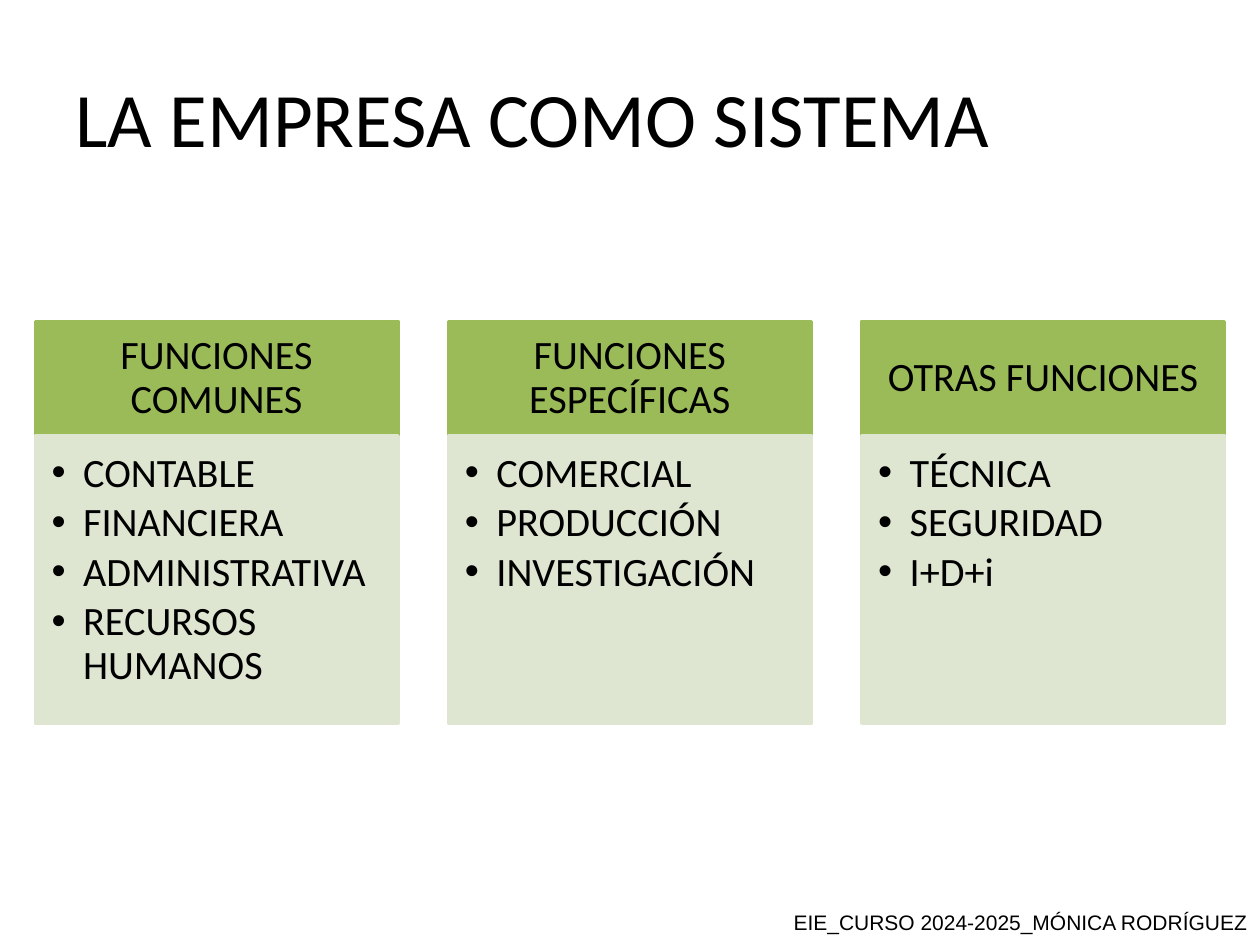
from lxml.etree import SubElement
from pptx import Presentation
from pptx.dml.color import RGBColor
from pptx.enum.shapes import MSO_SHAPE
from pptx.enum.text import MSO_ANCHOR, PP_ALIGN
from pptx.oxml.ns import qn
from pptx.util import Inches, Pt

COLORS = {"text": "000000", "header": "9BBB59", "panel": "DEE6D1"}
COLUMNS = [
    ("FUNCIONES COMUNES", ["CONTABLE", "FINANCIERA", "ADMINISTRATIVA", "RECURSOS HUMANOS"]),
    ("FUNCIONES ESPECÍFICAS", ["COMERCIAL", "PRODUCCIÓN", "INVESTIGACIÓN"]),
    ("OTRAS FUNCIONES", ["TÉCNICA", "SEGURIDAD", "I+D+i"]),
]
COLUMN_LEFT, COLUMN_WIDTH, COLUMN_GAP = 0.28, 2.88, 0.4
HEADER_TOP, HEADER_HEIGHT, PANEL_HEIGHT = 2.55, 0.91, 2.28


def add_text(paragraph, text, size, font="Calibri"):
    run = paragraph.add_run()
    run.text = text
    run.font.size = Pt(size)
    run.font.name = font
    run.font.color.rgb = RGBColor.from_string(COLORS["text"])


def set_frame(frame, margins, anchor):
    frame.word_wrap = True
    frame.vertical_anchor = anchor
    frame.margin_left, frame.margin_top, frame.margin_right, frame.margin_bottom = map(Inches, margins)


def set_bullet(paragraph):
    paragraph.level = 1
    properties = paragraph._p.get_or_add_pPr()
    properties.set("marL", str(Inches(0.25)))
    properties.set("indent", str(Inches(-0.25)))
    color = SubElement(properties, qn("a:buClr"))
    SubElement(color, qn("a:srgbClr"), val=COLORS["text"])
    SubElement(properties, qn("a:buFont"), typeface="Arial")
    SubElement(properties, qn("a:buChar"), char="•")


def add_title(slide, text):
    title = slide.shapes.title
    title.left, title.top = Inches(0.5), Inches(0.3)
    title.width, title.height = Inches(9), Inches(1.25)
    set_frame(title.text_frame, (0.1, 0.05, 0.1, 0.05), MSO_ANCHOR.MIDDLE)
    paragraph = title.text_frame.paragraphs[0]
    paragraph.alignment = PP_ALIGN.LEFT
    add_text(paragraph, text, 44)


def add_footer(slide, text):
    footer = slide.shapes.add_textbox(Inches(5), Inches(7.12), Inches(5), Inches(0.4))
    set_frame(footer.text_frame, (0.1, 0.05, 0.1, 0.05), MSO_ANCHOR.MIDDLE)
    paragraph = footer.text_frame.paragraphs[0]
    paragraph.alignment = PP_ALIGN.RIGHT
    add_text(paragraph, text, 12, "Arial")


def add_box(slide, left, top, height, color):
    shape = slide.shapes.add_shape(
        MSO_SHAPE.RECTANGLE, Inches(left), Inches(top), Inches(COLUMN_WIDTH), Inches(height))
    shape.shadow.inherit = False
    shape.fill.solid()
    shape.fill.fore_color.rgb = RGBColor.from_string(color)
    shape.line.color.rgb = RGBColor.from_string(color)
    shape.line.width = Pt(2)
    return shape


def add_header(slide, left, text):
    shape = add_box(slide, left, HEADER_TOP, HEADER_HEIGHT, COLORS["header"])
    set_frame(shape.text_frame, (0.18, 0.1, 0.18, 0.1), MSO_ANCHOR.MIDDLE)
    paragraph = shape.text_frame.paragraphs[0]
    paragraph.alignment = PP_ALIGN.CENTER
    paragraph.line_spacing = 0.9
    paragraph.space_after = Pt(8.1)
    add_text(paragraph, text, 23)


def add_list_panel(slide, left, items):
    shape = add_box(slide, left, HEADER_TOP + HEADER_HEIGHT, PANEL_HEIGHT, COLORS["panel"])
    frame = shape.text_frame
    set_frame(frame, (0.13, 0.13, 0.18, 0.2), MSO_ANCHOR.TOP)
    for index, item in enumerate(items):
        paragraph = frame.add_paragraph() if index else frame.paragraphs[0]
        paragraph.alignment = PP_ALIGN.LEFT
        paragraph.line_spacing = 0.9
        paragraph.space_after = Pt(3.5)
        set_bullet(paragraph)
        add_text(paragraph, item, 23)


def main():
    presentation = Presentation()
    presentation.slide_width, presentation.slide_height = Inches(10), Inches(7.5)
    slide = presentation.slides.add_slide(presentation.slide_layouts[5])
    add_title(slide, "LA EMPRESA COMO SISTEMA")
    add_footer(slide, "EIE_CURSO 2024-2025_MÓNICA RODRÍGUEZ")
    for index, (heading, items) in enumerate(COLUMNS):
        left = COLUMN_LEFT + index * (COLUMN_WIDTH + COLUMN_GAP)
        add_header(slide, left, heading)
        add_list_panel(slide, left, items)
    presentation.save("out.pptx")


if __name__ == "__main__":
    main()
